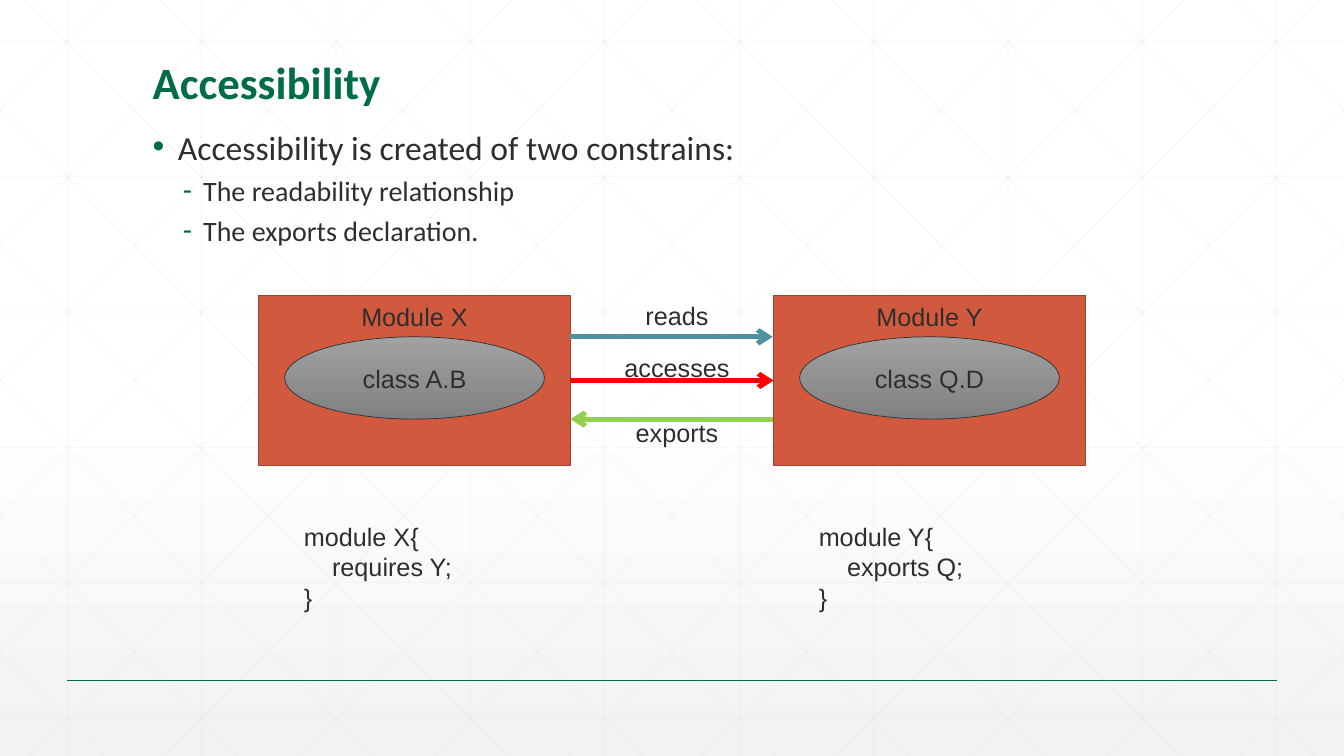
from pptx import Presentation, util as u
from pptx.dml.color import RGBColor
from pptx.enum import shapes, text
from pptx.oxml import parse_xml
from pptx.oxml.ns import nsdecls, qn

COLS, ROWS = 160, 90
PITCH = 16
COLORS = {
    "white": "FFFFFF", "mist": "F2F2F2", "grid": "D9D9D9", "green": "016C48",
    "ink": "2D2E2D", "module": "D15A3E", "module_edge": "9B432E",
    "class_top": "A1A1A1", "class_bottom": "808180",
    "reads": "4F91A1", "accesses": "FF0000", "exports": "92D050",
}


def rgb(name):
    return RGBColor.from_string(COLORS[name])


def xml(tag, attrs="", inner=""):
    return parse_xml(f"<a:{tag} {nsdecls('a')} {attrs}>{inner}</a:{tag}>")


def shade(fill, top, bottom, start=0):
    """Vertical gradient that begins at the share `start` of the height."""
    fill.gradient()
    fill.gradient_angle = 270
    for stop, color, position in zip(fill.gradient_stops, (top, bottom), (start, 1)):
        stop.color.rgb = rgb(color)
        stop.position = position


def write(tf, content, size=18, color="ink", font="Arial", bold=False, align=None,
          spacing=None, before=None, level=0, indent=0, hang=0, bullet=None):
    """Add one paragraph; indent and hang are in inches."""
    p = tf.paragraphs[0]
    if p.runs:
        p = tf.add_paragraph()
    p.alignment, p.level = align, level
    p.line_spacing = spacing
    p.space_before = None if before is None else u.Pt(before)
    pPr = p._p.get_or_add_pPr()
    pPr.set("marL", str(u.Inches(indent)))
    pPr.set("indent", str(-u.Inches(hang)))
    if bullet:
        pPr.append(xml("buClr", "", f'<a:srgbClr val="{COLORS["green"]}"/>'))
        pPr.append(xml("buFont", 'typeface="Arial"'))
        pPr.append(xml("buChar", f'char="{bullet}"'))
    r = p.add_run()
    r.text = content
    r.font.size, r.font.name, r.font.bold = u.Pt(size), font, bold
    r.font.color.rgb = rgb(color)


class Board:
    """Draws on one slide; every length is in grid columns and rows."""

    def __init__(self, prs):
        self.col, self.row = prs.slide_width / COLS, prs.slide_height / ROWS
        self.s = prs.slides.add_slide(prs.slide_layouts[6])
        shade(self.s.background.fill, "white", "mist", 0.53)

    def place(self, *lengths):
        return [round(n * unit) for n, unit in zip(lengths, (self.col, self.row) * 2)]

    def line(self, x1, y1, x2, y2, color, width, alpha=None, arrow=False):
        c = self.s.shapes.add_connector(shapes.MSO_CONNECTOR.STRAIGHT,
                                        *self.place(x1, y1, x2, y2))
        c.line.color.rgb, c.line.width = rgb(color), u.Pt(width)
        ln = c.line._ln
        if alpha:
            ln.find(".//" + qn("a:srgbClr")).append(xml("alpha", f'val="{alpha * 1000}"'))
        if arrow:
            ln.append(xml("tailEnd", 'type="arrow"'))
        c._element.spPr.append(xml("effectLst"))
        return c

    def shape(self, kind, x, y, w, h, edge, width):
        sp = self.s.shapes.add_shape(kind, *self.place(x, y, w, h))
        sp.shadow.inherit = False
        sp.line.color.rgb, sp.line.width = rgb(edge), u.Pt(width)
        return sp

    def box(self, x, y, w, h, anchor=text.MSO_ANCHOR.TOP):
        tf = self.s.shapes.add_textbox(*self.place(x, y, w, h)).text_frame
        tf.word_wrap, tf.vertical_anchor = True, anchor
        return tf

    def label(self, center, y, content):
        """One centred line in a box wide enough for the longest label."""
        w = 20
        tf = self.box(center - w / 2, y, w, 4.8)
        write(tf, content, align=text.PP_ALIGN.CENTER)

    def lattice(self):
        """Faint squares crossed by diagonals in both directions."""
        faint = {"color": "grid", "width": 0.5, "alpha": 25}
        for x in range(8, COLS, PITCH):
            self.line(x, 0, x, ROWS, **faint)
        for i in range(6):
            y = 5 + 16.08 * i
            self.line(0, y, COLS, y, **faint)
        run = 89.4
        for x in range(3 - 5 * PITCH, COLS, PITCH):
            x1, x2 = max(x, 0), min(x + run, COLS)
            y1, y2 = ((end - x) / run * ROWS for end in (x1, x2))
            self.line(x1, y1, x2, y2, **faint)
            self.line(COLS - x1, y1, COLS - x2, y2, **faint)

    def module(self, x, name, class_name, directive):
        w = 37.1
        sp = self.shape(shapes.MSO_SHAPE.RECTANGLE, x, 35.2, w, 20.2, "module_edge", 1)
        sp.fill.solid()
        sp.fill.fore_color.rgb = rgb("module")
        oval = self.shape(shapes.MSO_SHAPE.OVAL, x + 3.1, 40.1, 30.9, 9.8, "ink", 0.5)
        shade(oval.fill, "class_top", "class_bottom")
        oval.text_frame.vertical_anchor = text.MSO_ANCHOR.MIDDLE
        write(oval.text_frame, class_name, align=text.PP_ALIGN.CENTER)
        self.label(x + w / 2, 35.3, f"Module {name}")
        code = self.box(x + 4.2, 61.5, 28.6, 12)
        write(code, f"module {name}{{")
        write(code, directive, indent=0.28)
        write(code, "}")
        return sp


def main():
    prs = Presentation()
    prs.slide_width, prs.slide_height = u.Inches(13.33), u.Inches(7.5)
    board = Board(prs)
    board.lattice()
    board.line(8, 81, 152, 81, "green", 1)

    title = board.box(17, 2.3, 126, 11.3, anchor=text.MSO_ANCHOR.BOTTOM)
    write(title, "Accessibility", size=32, color="green", font="Calibri", bold=True,
          spacing=0.9)
    body = board.box(17, 15.8, 126, 15.7)
    write(body, "Accessibility is created of two constrains:", size=24, font="Calibri",
          spacing=0.7, before=18, indent=0.25, hang=0.25, bullet="•")
    for point in ("The readability relationship", "The exports declaration."):
        write(body, point, size=20, font="Calibri", spacing=0.7, before=12, level=1,
              indent=0.5, hang=0.2, bullet="-")

    x_module = board.module(30.8, "X", "class A.B", "requires Y;")
    y_module = board.module(92.1, "Y", "class Q.D", "exports Q;")

    left, right = 67.9, 92
    board.line(left, 40.1, right, 40.1, "reads", 3.5, arrow=True)
    board.line(right, 49.9, left, 49.9, "exports", 3.5, arrow=True)
    access = board.line(left, 45.3, right, 45.3, "accesses", 3.5, arrow=True)
    access.begin_connect(x_module, 3)
    access.end_connect(y_module, 1)
    for name, y in (("reads", 35.2), ("accesses", 41.3), ("exports", 49.1)):
        board.label(80.6, y, name)

    prs.save("out.pptx")


if __name__ == "__main__":
    main()
